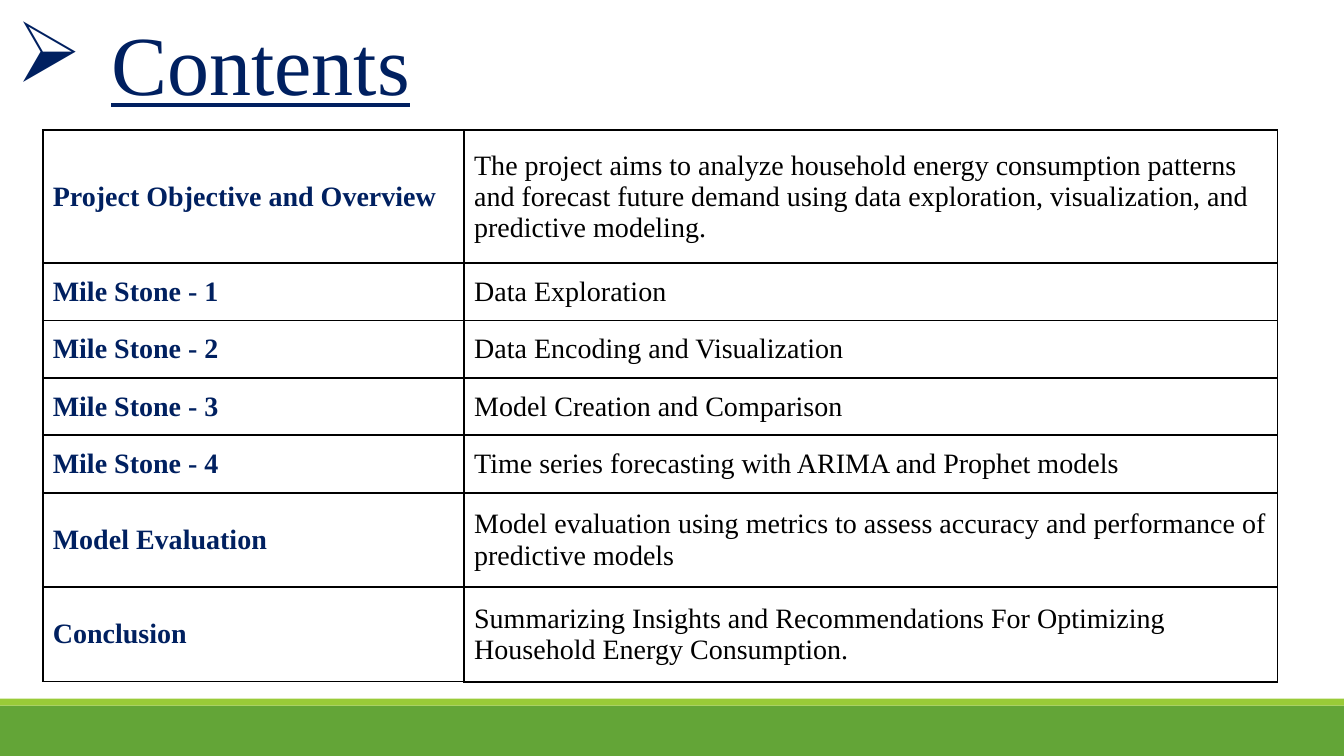
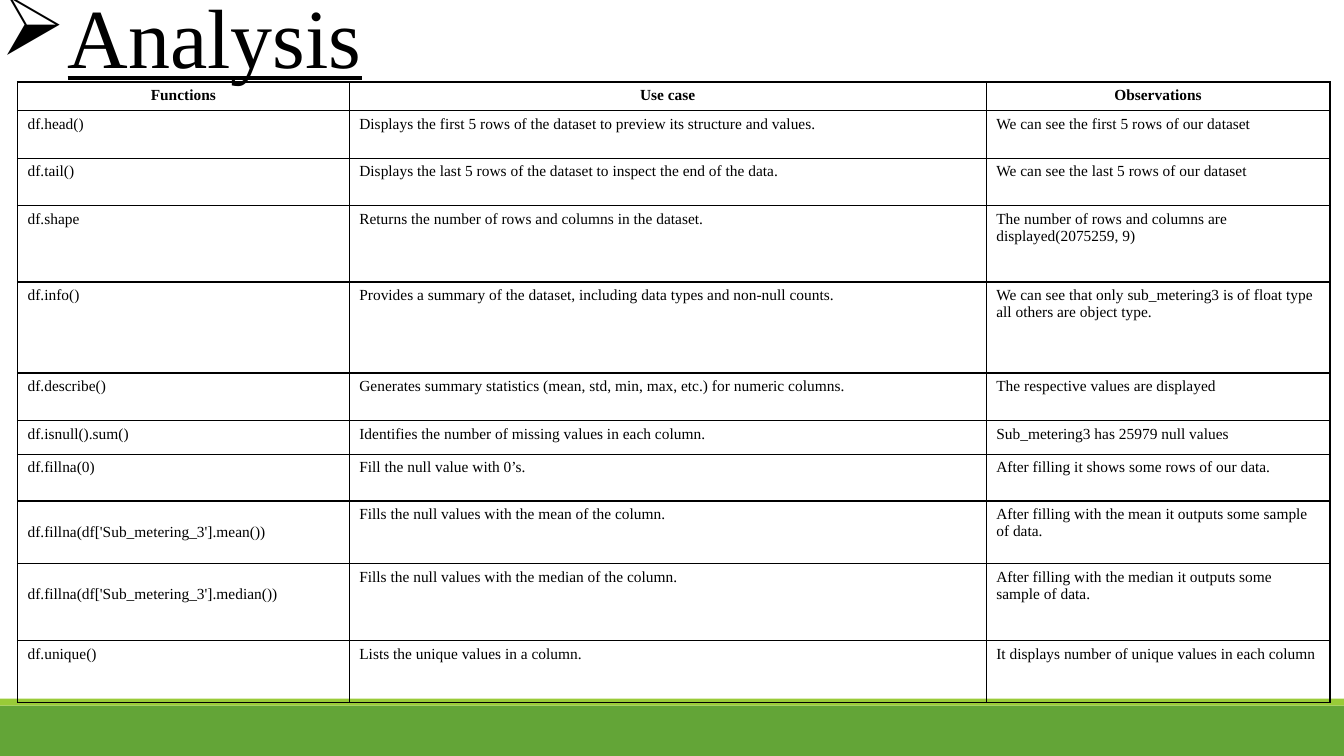
from lxml.etree import SubElement
from pptx import Presentation
from pptx.dml.color import RGBColor
from pptx.enum.shapes import MSO_SHAPE
from pptx.enum.text import MSO_ANCHOR, PP_ALIGN
from pptx.oxml.ns import qn
from pptx.util import Pt

SLIDE_WIDTH, SLIDE_HEIGHT = Pt(960), Pt(540)
FONT = "Times New Roman"
BLACK = RGBColor(0x00, 0x00, 0x00)
WHITE = RGBColor(0xFF, 0xFF, 0xFF)
NAVY = RGBColor(0x00, 0x20, 0x60)
GREEN = RGBColor(0x63, 0xA5, 0x37)
LIME = RGBColor(0x99, 0xCB, 0x38)

FOOTER_BANDS = [(504, 36, GREEN), (499, 5, LIME)]  # top, height, colour

TITLE_FORMAT = {"name": FONT, "size": Pt(60), "underline": True}
TOPIC_FORMAT = {"name": FONT, "size": Pt(20), "bold": True}
DETAIL_FORMAT = {"name": FONT, "size": Pt(20), "bold": False}
HEADING_FORMAT = {"name": FONT, "size": Pt(11), "bold": True}
ENTRY_FORMAT = {"name": FONT, "size": Pt(11), "bold": False}

CONTENTS_CELL = {
    "vertical_anchor": MSO_ANCHOR.MIDDLE,
    "margin_left": Pt(7.2), "margin_right": Pt(7.2),
    "margin_top": Pt(7.2), "margin_bottom": Pt(7.2),
}
ANALYSIS_CELL = {"vertical_anchor": MSO_ANCHOR.TOP, "margin_top": Pt(3.6)}
LOWERED_CELL = {"vertical_anchor": MSO_ANCHOR.TOP, "margin_top": Pt(16)}

CONTENTS = [
    ("Project Objective and Overview",
     "The project aims to analyze household energy consumption patterns and forecast "
     "future demand using data exploration, visualization, and predictive modeling."),
    ("Mile Stone - 1", "Data Exploration"),
    ("Mile Stone - 2", "Data Encoding and Visualization"),
    ("Mile Stone - 3", "Model Creation and Comparison"),
    ("Mile Stone - 4", "Time series forecasting with ARIMA and Prophet models"),
    ("Model Evaluation",
     "Model evaluation using metrics to assess accuracy and performance of predictive models"),
    ("Conclusion",
     "Summarizing Insights and Recommendations For Optimizing Household Energy Consumption."),
]
CONTENTS_COLUMNS = [301, 581]
CONTENTS_ROWS = [95, 41, 41, 41, 41, 67.5, 67.5]

ANALYSIS = [
    ("Functions", "Use case", "Observations"),
    ("df.head()",
     "Displays the first 5 rows of the dataset to preview its structure and values.",
     "We can see the first 5 rows of our dataset"),
    ("df.tail()",
     "Displays the last 5 rows of the dataset to inspect the end of the data.",
     "We can see the last 5 rows of our dataset"),
    ("df.shape",
     "Returns the number of rows and columns in the dataset.",
     "The number of rows and columns are displayed(2075259, 9)"),
    ("df.info()",
     "Provides a summary of the dataset, including data types and non-null counts.",
     "We can see that only sub_metering3 is of float type all others are object type."),
    ("df.describe()",
     "Generates summary statistics (mean, std, min, max, etc.) for numeric columns.",
     "The respective values are displayed"),
    ("df.isnull().sum()",
     "Identifies the number of missing values in each column.",
     "Sub_metering3 has 25979 null values"),
    ("df.fillna(0)",
     "Fill the null value with 0’s.",
     "After filling it shows some rows of our data."),
    ("df.fillna(df['Sub_metering_3'].mean())",
     "Fills the null values with the mean of the column.",
     "After filling with the mean it outputs some sample of data."),
    ("df.fillna(df['Sub_metering_3'].median())",
     "Fills the null values with the median of the column.",
     "After filling with the median it outputs some sample of data."),
    ("df.unique()",
     "Lists the unique values in a column.",
     "It displays number of unique values in each column"),
]
ANALYSIS_COLUMNS = [237, 455, 245.5]
ANALYSIS_ROWS = [20, 34, 34, 54.5, 65, 34, 24, 33.5, 44.5, 55, 44.5]


def apply_format(target, values):
    for attribute, value in values.items():
        setattr(target, attribute, value)


def style_font(font, values, color):
    apply_format(font, values)
    font.color.rgb = color


def add_footer(slide):
    for top, height, color in FOOTER_BANDS:
        band = slide.shapes.add_shape(MSO_SHAPE.RECTANGLE, 0, Pt(top), SLIDE_WIDTH, Pt(height))
        band.shadow.inherit = False
        band.fill.solid()
        band.fill.fore_color.rgb = color
        band.line.fill.background()


def add_arrow_bullet(paragraph, indent):
    """Hang an arrowhead bullet; it is the Ø position of Wingdings."""
    properties = paragraph._p.get_or_add_pPr()
    properties.set("marL", str(Pt(indent)))
    properties.set("indent", str(-Pt(indent)))
    SubElement(properties, qn("a:buFont"), typeface="Wingdings", charset="2")
    SubElement(properties, qn("a:buChar"), char="Ø")


def add_title(slide, text, left, top, indent, color):
    title = slide.shapes.add_textbox(Pt(left), Pt(top), Pt(479.5), Pt(80)).text_frame
    title.word_wrap = True
    paragraph = title.paragraphs[0]
    add_arrow_bullet(paragraph, indent)
    run = paragraph.add_run()
    run.text = text
    style_font(run.font, TITLE_FORMAT, color)


def set_borders(cell, width):
    properties = cell._tc.get_or_add_tcPr()
    for position, side in enumerate(("lnL", "lnR", "lnT", "lnB")):
        border = properties.makeelement(qn(f"a:{side}"), {"w": str(Pt(width))})
        fill = SubElement(border, qn("a:solidFill"))
        SubElement(fill, qn("a:srgbClr"), val=str(BLACK))
        properties.insert(position, border)


def fill_cell(cell, text, cell_format, font_format, color, border_width):
    apply_format(cell, cell_format)
    cell.text = text
    style_font(cell.text_frame.paragraphs[0].font, font_format, color)
    set_borders(cell, border_width)


def add_grid(slide, left, top, columns, rows):
    grid = slide.shapes.add_table(
        len(rows), len(columns), Pt(left), Pt(top), Pt(sum(columns)), Pt(sum(rows))
    ).table
    grid.first_row = grid.horz_banding = False
    for column, width in zip(grid.columns, columns):
        column.width = Pt(width)
    for row, height in zip(grid.rows, rows):
        row.height = Pt(height)
    return grid


def add_contents_table(slide):
    grid = add_grid(slide, 30.5, 93, CONTENTS_COLUMNS, CONTENTS_ROWS)
    styles = [(TOPIC_FORMAT, NAVY), (DETAIL_FORMAT, BLACK)]
    for row, texts in zip(grid.rows, CONTENTS):
        for cell, text, (font_format, color) in zip(row.cells, texts, styles):
            fill_cell(cell, text, CONTENTS_CELL, font_format, color, 1.5)
            cell.fill.solid()
            cell.fill.fore_color.rgb = WHITE
    set_last_topic_border(grid.cell(len(CONTENTS) - 1, 0))


def set_last_topic_border(cell):
    """Thin the bottom edge of the last topic."""
    cell._tc.tcPr.find(qn("a:lnB")).set("w", str(Pt(1)))


def add_analysis_table(slide):
    grid = add_grid(slide, 12.5, 58.5, ANALYSIS_COLUMNS, ANALYSIS_ROWS)
    for row_index, (row, texts) in enumerate(zip(grid.rows, ANALYSIS)):
        is_heading = row_index == 0
        for cell, text in zip(row.cells, texts):
            lowered = text.startswith("df.fillna(df[")
            fill_cell(cell, text, LOWERED_CELL if lowered else ANALYSIS_CELL,
                      HEADING_FORMAT if is_heading else ENTRY_FORMAT, BLACK, 1)
            cell.fill.background()
            if is_heading:
                cell.text_frame.paragraphs[0].alignment = PP_ALIGN.CENTER


def add_base_slide(presentation):
    slide = presentation.slides.add_slide(presentation.slide_layouts[6])
    add_footer(slide)
    return slide


def main():
    presentation = Presentation()
    presentation.slide_width, presentation.slide_height = SLIDE_WIDTH, SLIDE_HEIGHT

    contents = add_base_slide(presentation)
    add_title(contents, "Contents", 5, 5, 67.5, NAVY)
    add_contents_table(contents)

    analysis = add_base_slide(presentation)
    add_title(analysis, "Analysis", -6.5, -14.5, 22.5, BLACK)
    add_analysis_table(analysis)

    presentation.save("out.pptx")


if __name__ == "__main__":
    main()
